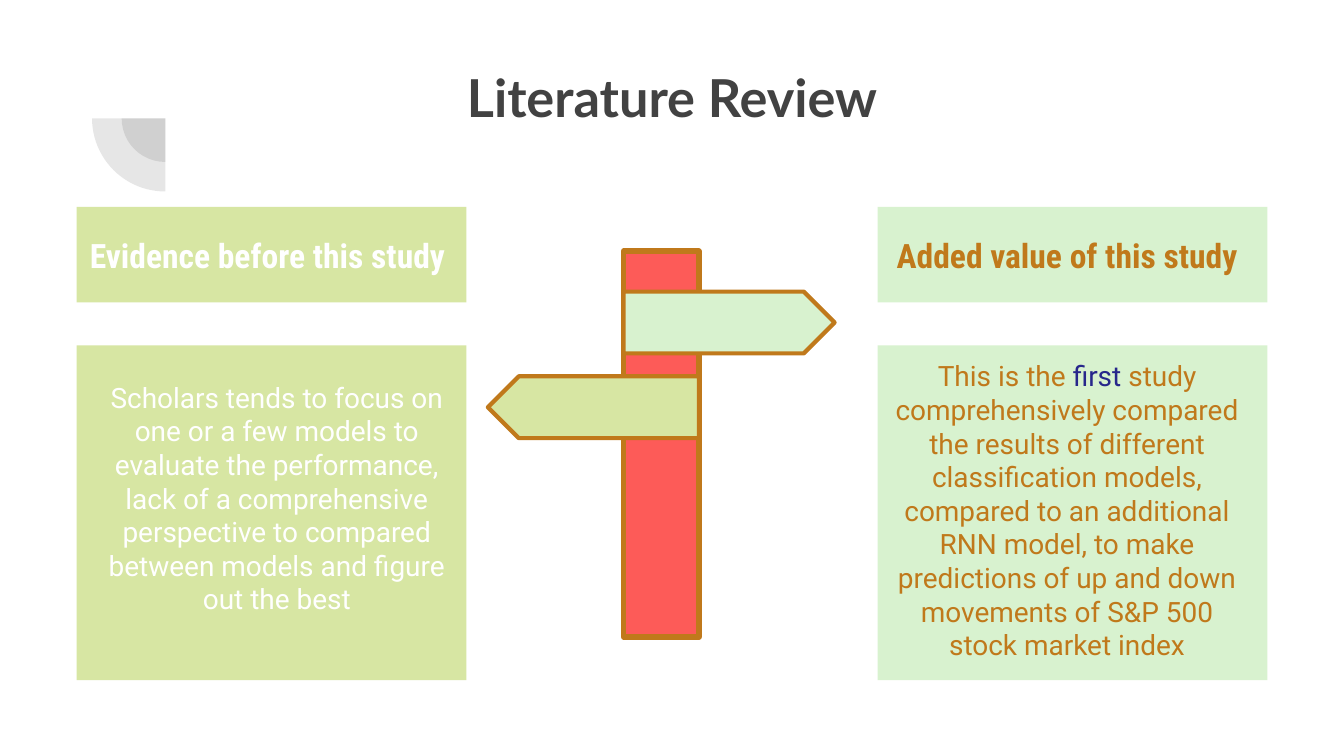
import pptx
import pptx.util
import pptx.dml.color
import pptx.enum.shapes
import pptx.enum.text
import pptx.oxml.ns
import lxml.etree

Inches = pptx.util.Inches
Pt = pptx.util.Pt
RGBColor = pptx.dml.color.RGBColor
Shape = pptx.enum.shapes.MSO_SHAPE
Anchor = pptx.enum.text.MSO_ANCHOR
Align = pptx.enum.text.PP_ALIGN
qn = pptx.oxml.ns.qn

GRAY = RGBColor(0x42, 0x42, 0x42)
LIME = RGBColor(0xD7, 0xE6, 0xA3)
MINT = RGBColor(0xD8, 0xF2, 0xCF)
RED = RGBColor(0xFD, 0x5B, 0x58)
BROWN = RGBColor(0xC0, 0x79, 0x1B)
NAVY = RGBColor(0x27, 0x27, 0x8B)
WHITE = RGBColor(0xFF, 0xFF, 0xFF)

HEAD_TOP, HEAD_HIGH = 1.54, 0.71
BODY_TOP, BODY_HIGH = 2.57, 2.49
LEFT, RIGHT, WIDE = 0.57, 6.53, 2.9


def add_shape(slide, kind, box, fill, width=0):
    shape = slide.shapes.add_shape(kind, *map(Inches, box))
    shape.shadow.inherit = False
    shape.fill.solid()
    shape.fill.fore_color.rgb = fill
    if width:
        shape.line.color.rgb = BROWN
        shape.line.width = Pt(width)
    else:
        shape.line.fill.background()
    return shape


def add_pie(slide, mid_x, mid_y, size):
    box = (mid_x - size / 2, mid_y - size / 2, size, size)
    pie = add_shape(slide, Shape.PIE, box, GRAY)
    pie.adjustments[0] = 108
    pie.adjustments[1] = 162
    pie.rotation = 270
    color = pie._element.spPr.find(qn("a:solidFill")).find(qn("a:srgbClr"))
    lxml.etree.SubElement(color, qn("a:alpha")).set("val", "13000")


def add_text(slide, box, runs, font, size, color, bold=False,
             align=Align.CENTER, anchor=Anchor.TOP):
    frame = slide.shapes.add_textbox(*map(Inches, box)).text_frame
    frame.word_wrap = True
    frame.vertical_anchor = anchor
    frame.margin_left = frame.margin_right = Inches(0.1)
    frame.margin_top = frame.margin_bottom = Inches(0.1)
    para = frame.paragraphs[0]
    para.alignment = align
    para.font.name = font
    para.font.size = Pt(size)
    para.font.bold = bold
    for words, tint in runs:
        run = para.add_run()
        run.text = words
        run.font.color.rgb = tint or color
    return para


def add_head(slide, box, words, color, align):
    add_text(slide, box, [(words, None)], "Roboto Condensed", 18, color,
             True, align, Anchor.MIDDLE)


def add_panel(slide, left, fill):
    add_shape(slide, Shape.RECTANGLE, (left, HEAD_TOP, WIDE, HEAD_HIGH), fill)
    add_shape(slide, Shape.RECTANGLE, (left, BODY_TOP, WIDE, BODY_HIGH), fill)


def add_sign(slide):
    add_shape(slide, Shape.RECTANGLE, (4.64, 1.87, 0.56, 2.87), RED, 3)
    for left, top, fill, turn in ((4.64, 2.17, MINT, 0), (3.63, 2.8, LIME, 180)):
        arm = add_shape(slide, Shape.PENTAGON, (left, top, 1.57, 0.46), fill, 2.25)
        arm.adjustments[0] = 0.5
        arm.rotation = turn


def main():
    deck = pptx.Presentation()
    deck.slide_width = Inches(10)
    deck.slide_height = deck.slide_width * 9 // 16
    slide = deck.slides.add_slide(deck.slide_layouts[6])

    for size in (0.65, 1.09):
        add_pie(slide, 1.23, 0.88, size)
    title = add_text(slide, (0.5, 0.49, 9, 0.57), [("Literature Review", None)],
                     "Lato", 28, GRAY, True, anchor=Anchor.BOTTOM)
    title.line_spacing = 0.9

    add_panel(slide, LEFT, LIME)
    add_head(slide, (LEFT, HEAD_TOP, WIDE, HEAD_HIGH),
             "Evidence before this study", WHITE, Align.LEFT)
    add_text(slide, (0.65, 2.73, 2.82, 2.11),
             [("Scholars tends to focus on one or a few models to evaluate the "
               "performance, lack of a comprehensive perspective to compared "
               "between models and figure out the best", None)],
             "Roboto", 15, WHITE)

    add_panel(slide, RIGHT, MINT)
    add_head(slide, (RIGHT, HEAD_TOP, 2.82, HEAD_HIGH),
             "Added value of this study", BROWN, Align.CENTER)
    add_text(slide, (6.49, BODY_TOP, WIDE, 2.05),
             [("This is the ", None), ("first", NAVY),
              (" study comprehensively compared the results of different "
               "classification models, compared to an additional RNN model, "
               "to make predictions of up and down movements of S&P 500 "
               "stock market index", None)],
             "Roboto", 15, BROWN)

    add_sign(slide)
    deck.save("out.pptx")


if __name__ == "__main__":
    main()
